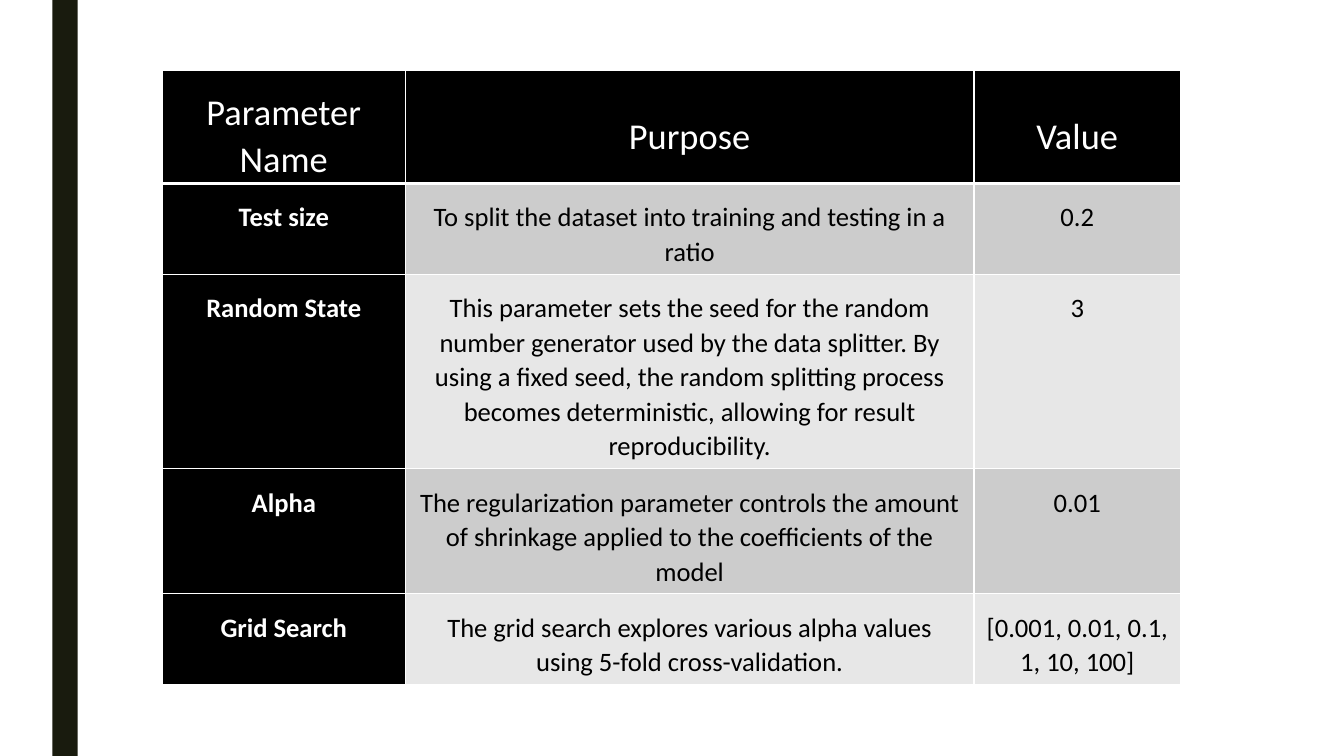
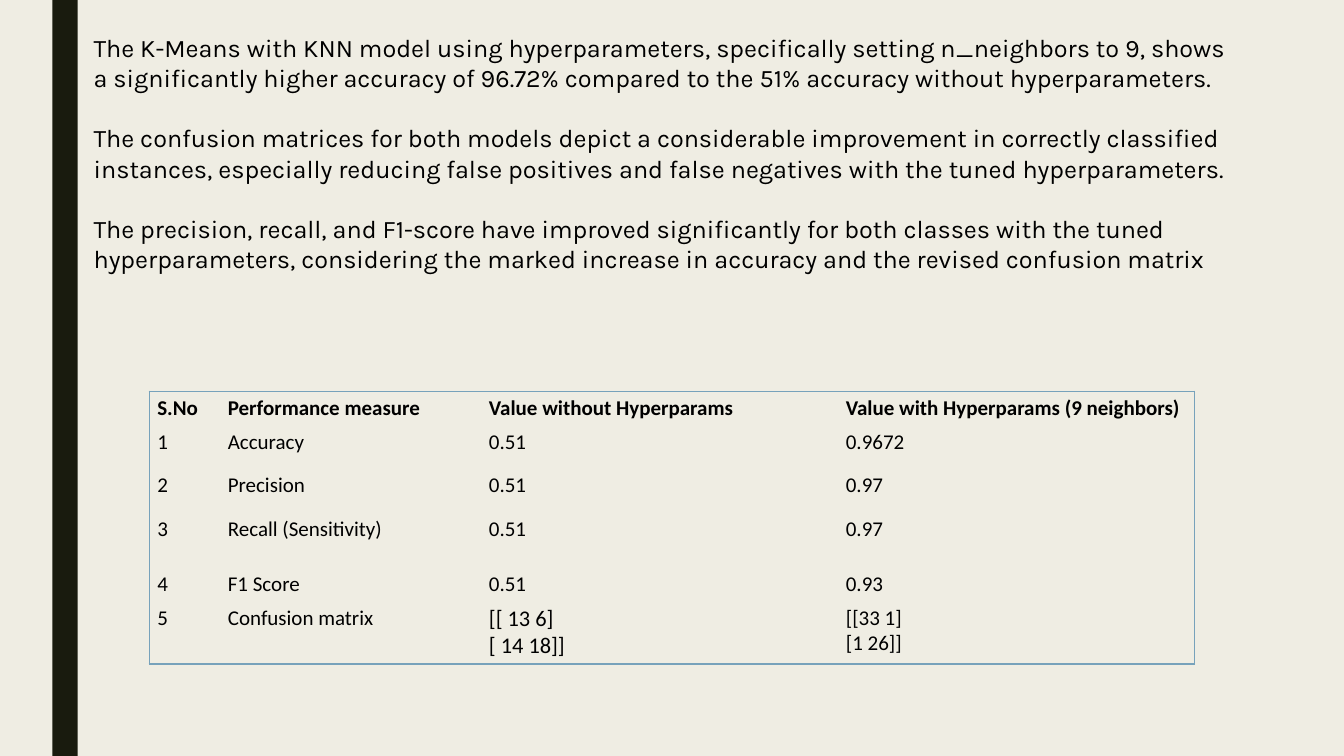
"""Build two slides on model parameters and on results with tuned hyperparameters."""
from dataclasses import dataclass
from typing import Optional

from lxml import etree
from pptx import Presentation
from pptx import util as u
from pptx.dml import color
from pptx.enum import shapes, text
from pptx.oxml import ns


@dataclass(frozen=True)
class Theme:
    band: str = "191B0E"
    white: str = "FFFFFF"
    cream: str = "EFEDE3"
    black: str = "000000"
    dark_grey: str = "CCCCCC"
    light_grey: str = "E7E7E7"
    frame: str = "77A2BB"
    table_font: str = "Calibri"
    body_font: str = "Karla"
    header_size: float = 26
    cell_size: float = 19
    result_size: float = 15
    matrix_size: float = 16
    body_size: float = 18
    body_gap: float = 21.4


@dataclass(frozen=True)
class Border:
    color: str
    width: float = 1


@dataclass(frozen=True)
class Grid:
    left: float
    top: float
    columns: tuple[float, ...]
    rows: tuple[float, ...]
    margins: tuple[float, float, float, float]


@dataclass(frozen=True)
class CellStyle:
    size: float
    color: str
    bold: bool = False
    fill: Optional[str] = None
    align: text.PP_ALIGN = text.PP_ALIGN.LEFT
    anchor: text.MSO_ANCHOR = text.MSO_ANCHOR.TOP
    line_spacing: float = 1.0
    space_after: float = 0


THEME = Theme()
PAGE_WIDTH, PAGE_HEIGHT = 13.33, 7.5

PARAMETER_GRID = Grid(1.61, 0.7, (2.41, 5.64, 2.05), (1.12, 0.9, 1.93, 1.24, 0.9),
                      (0.12, 0.16, 0.12, 0))
PARAMETERS = (
    ("Parameter Name", "Purpose", "Value"),
    ("Test size", "To split the dataset into training and testing in a ratio", "0.2"),
    ("Random State",
     "This parameter sets the seed for the random number generator used by the data "
     "splitter. By using a fixed seed, the random splitting process becomes "
     "deterministic, allowing for result reproducibility.", "3"),
    ("Alpha",
     "The regularization parameter controls the amount of shrinkage applied to the "
     "coefficients of the model", "0.01"),
    ("Grid Search",
     "The grid search explores various alpha values using 5-fold cross-validation.",
     "[0.001, 0.01, 0.1, 1, 10, 100]"),
)

RESULT_GRID = Grid(1.48, 3.88, (0.7, 2.59, 3.54, 3.54),
                   (0.34, 0.43, 0.43, 0.55, 0.31, 0.58), (0.08, 0.04, 0.08, 0.04))
RESULTS = (
    ("S.No", "Performance measure", "Value without Hyperparams",
     "Value with Hyperparams (9 neighbors)"),
    ("1", "Accuracy", "0.51", "0.9672"),
    ("2", "Precision", "0.51", "0.97"),
    ("3", "Recall (Sensitivity)", "0.51", "0.97"),
    ("4", "F1 Score", "0.51", "0.93"),
    ("5", "Confusion matrix", "[[ 13 6]\n[ 14 18]]", "[[33 1]\n[1 26]]"),
)
FINDINGS = (
    "The K-Means with KNN model using hyperparameters, specifically setting n_neighbors "
    "to 9, shows a significantly higher accuracy of 96.72% compared to the 51% accuracy "
    "without hyperparameters.",
    "The confusion matrices for both models depict a considerable improvement in "
    "correctly classified instances, especially reducing false positives and false "
    "negatives with the tuned hyperparameters.",
    "The precision, recall, and F1-score have improved significantly for both classes "
    "with the tuned hyperparameters, considering the marked increase in accuracy and the "
    "revised confusion matrix",
)


def rgb(value: str) -> color.RGBColor:
    return color.RGBColor.from_string(value)


def add_page(deck, background: str):
    page = deck.slides.add_slide(deck.slide_layouts[6])
    page.background.fill.solid()
    page.background.fill.fore_color.rgb = rgb(background)
    band = page.shapes.add_shape(shapes.MSO_SHAPE.RECTANGLE, u.Inches(0.52), 0,
                                 u.Inches(0.25), u.Inches(PAGE_HEIGHT))
    band.shadow.inherit = False
    band.fill.solid()
    band.fill.fore_color.rgb = rgb(THEME.band)
    band.line.fill.background()
    return page


def add_grid(page, grid: Grid):
    table = page.shapes.add_table(
        len(grid.rows), len(grid.columns), u.Inches(grid.left), u.Inches(grid.top),
        u.Inches(sum(grid.columns)), u.Inches(sum(grid.rows))).table
    table.first_row = table.horz_banding = False
    for column, width in zip(table.columns, grid.columns):
        column.width = u.Inches(width)
    for row, height in zip(table.rows, grid.rows):
        row.height = u.Inches(height)
    for cell in table.iter_cells():
        (cell.margin_left, cell.margin_top,
         cell.margin_right, cell.margin_bottom) = map(u.Inches, grid.margins)
    return table


def write_cell(cell, words: str, style: CellStyle) -> None:
    cell.text = words
    cell.vertical_anchor = style.anchor
    for para in cell.text_frame.paragraphs:
        para.alignment = style.align
        para.line_spacing = style.line_spacing
        para.space_after = u.Pt(style.space_after)
        para.font.name = THEME.table_font
        para.font.size = u.Pt(style.size)
        para.font.bold = style.bold
        para.font.color.rgb = rgb(style.color)
    if style.fill is None:
        cell.fill.background()
    else:
        cell.fill.solid()
        cell.fill.fore_color.rgb = rgb(style.fill)


def set_borders(cell, left: Optional[Border], right: Optional[Border],
                top: Optional[Border], bottom: Optional[Border]) -> None:
    properties = cell._tc.get_or_add_tcPr()
    for index, (side, border) in enumerate(zip("LRTB", (left, right, top, bottom))):
        line = etree.Element(ns.qn(f"a:ln{side}"))
        if border is None:
            line.set("w", "0")
            etree.SubElement(line, ns.qn("a:noFill"))
        else:
            line.set("w", str(u.Pt(border.width)))
            fill = etree.SubElement(line, ns.qn("a:solidFill"))
            etree.SubElement(fill, ns.qn("a:srgbClr"), val=border.color)
        properties.insert(index, line)


def parameter_style(row: int, column: int) -> CellStyle:
    header, label = row == 0, column == 0
    shade = THEME.dark_grey if row % 2 else THEME.light_grey
    dark = header or label
    return CellStyle(
        size=THEME.header_size if header else THEME.cell_size,
        color=THEME.white if dark else THEME.black,
        bold=label and not header,
        fill=THEME.black if dark else shade,
        align=text.PP_ALIGN.CENTER,
        anchor=text.MSO_ANCHOR.MIDDLE if header else text.MSO_ANCHOR.TOP,
        line_spacing=1.07, space_after=8)


def add_parameters(page) -> None:
    table = add_grid(page, PARAMETER_GRID)
    thin, thick = Border(THEME.white), Border(THEME.white, 3)
    for row, record in enumerate(PARAMETERS):
        for column, words in enumerate(record):
            cell = table.cell(row, column)
            write_cell(cell, words, parameter_style(row, column))
            set_borders(cell, thin, thin, thick if row == 1 else thin,
                        thick if row == 0 else thin)


def add_results(page) -> None:
    table = add_grid(page, RESULT_GRID)
    frame = Border(THEME.frame)
    last_row, last_column = len(RESULTS) - 1, len(RESULTS[0]) - 1
    for row, record in enumerate(RESULTS):
        for column, words in enumerate(record):
            cell = table.cell(row, column)
            wide = (row, column) == (last_row, 2)
            size = THEME.matrix_size if wide else THEME.result_size
            write_cell(cell, words, CellStyle(size, THEME.black, bold=row == 0))
            set_borders(cell, frame if column == 0 else None,
                        frame if column == last_column else None,
                        frame if row == 0 else None,
                        frame if row == last_row else None)


def add_findings(page) -> None:
    box = page.shapes.add_textbox(u.Inches(0.83), u.Inches(0.27),
                                  u.Inches(11.56), u.Inches(2.52))
    frame = box.text_frame
    frame.word_wrap = True
    frame.text = "\n".join(FINDINGS)
    for index, para in enumerate(frame.paragraphs):
        para.space_before = u.Pt(THEME.body_gap if index else 0)
        para.font.name = THEME.body_font
        para.font.size = u.Pt(THEME.body_size)
        para.font.color.rgb = rgb(THEME.black)


def main() -> None:
    deck = Presentation()
    deck.slide_width, deck.slide_height = u.Inches(PAGE_WIDTH), u.Inches(PAGE_HEIGHT)
    add_parameters(add_page(deck, THEME.white))
    results_page = add_page(deck, THEME.cream)
    add_results(results_page)
    add_findings(results_page)
    deck.save("out.pptx")


if __name__ == "__main__":
    main()
